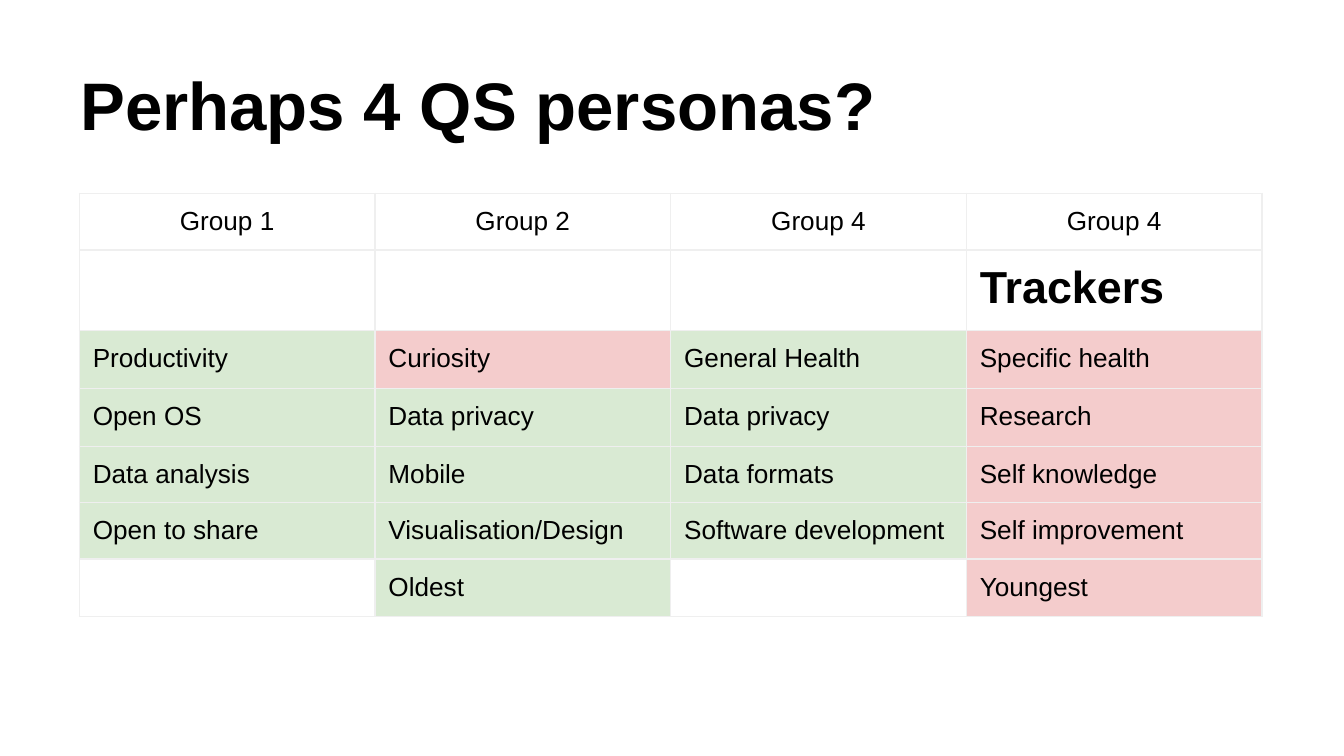
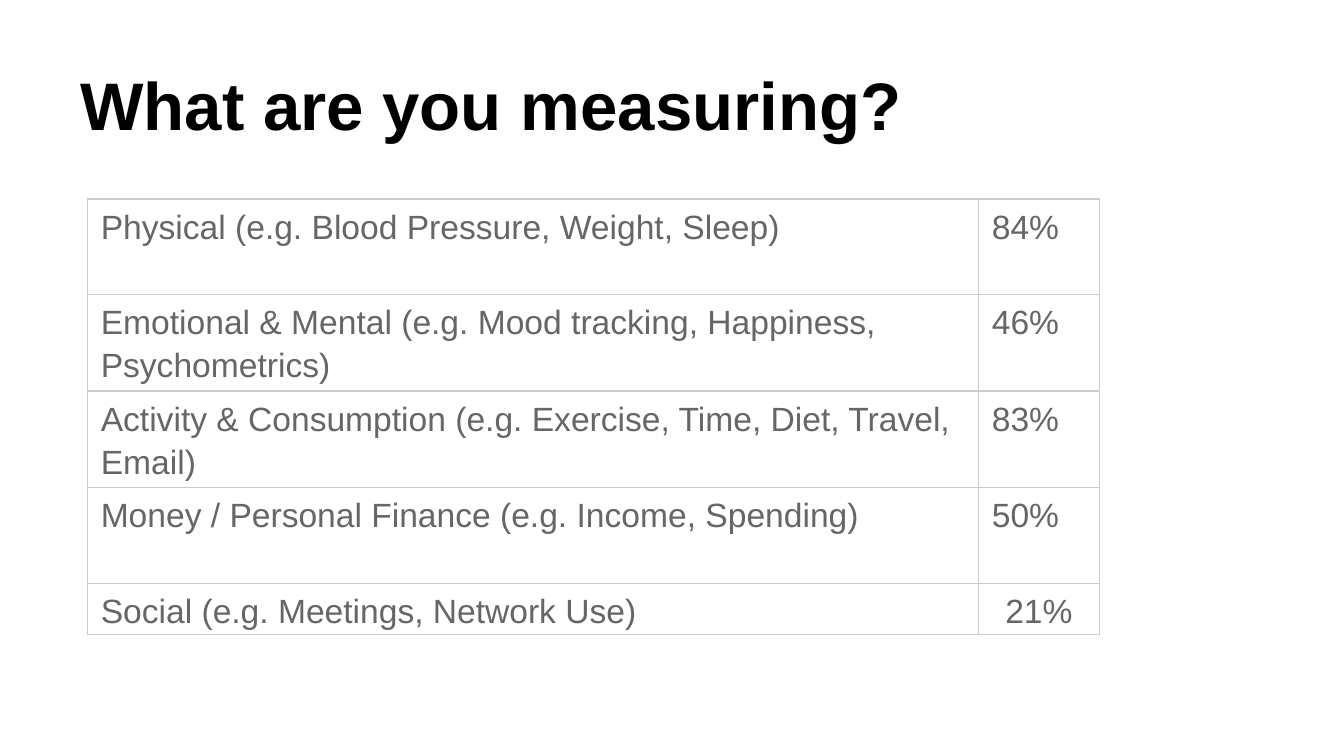
"""Build two slides, each with a bold title over a ruled table."""
from lxml import etree
from pptx import Presentation
from pptx.dml.color import RGBColor
from pptx.enum.text import MSO_ANCHOR, PP_ALIGN
from pptx.oxml.ns import qn
from pptx.util import Inches, Pt

LEFT, CENTER = PP_ALIGN.LEFT, PP_ALIGN.CENTER
BOTTOM = MSO_ANCHOR.BOTTOM
FONT = "Arial"
COLORS = {"black": "000000", "gray": "666666", "green": "D9EAD3", "red": "F4CCCC",
          "pale_rule": "EFEFEF", "rule": "CCCCCC"}
INSET = 0.1
BORDER_WIDTH = 0.75
BLANK_LAYOUT = 6


def write_text(paragraph, text, size, color, bold=False, alignment=LEFT, line_spacing=None):
    paragraph.alignment = alignment
    paragraph.line_spacing = line_spacing
    run = paragraph.add_run()
    run.text = text
    for name, value in {"name": FONT, "size": Pt(size), "bold": bold}.items():
        setattr(run.font, name, value)
    run.font.color.rgb = RGBColor.from_string(COLORS[color])


def add_border(cell, color):
    properties = cell._tc.get_or_add_tcPr()
    for side in ("lnL", "lnR", "lnT", "lnB"):
        line = etree.SubElement(properties, qn(f"a:{side}"), w=str(Pt(BORDER_WIDTH)))
        fill = etree.SubElement(line, qn("a:solidFill"))
        etree.SubElement(fill, qn("a:srgbClr"), val=COLORS[color])


persona_rows = [
    ["Group 1", "Group 2", "Group 4", "Group 4"],
    ["", "", "", "Trackers"],
    ["Productivity", "Curiosity", "General Health", "Specific health"],
    ["Open OS", "Data privacy", "Data privacy", "Research"],
    ["Data analysis", "Mobile", "Data formats", "Self knowledge"],
    ["Open to share", "Visualisation/Design", "Software development", "Self improvement"],
    ["", "Oldest", "", "Youngest"],
]
measure_rows = [
    ["Physical (e.g. Blood Pressure, Weight, Sleep)", "84%"],
    ["Emotional & Mental (e.g. Mood tracking, Happiness, Psychometrics)", "46%"],
    ["Activity & Consumption (e.g. Exercise, Time, Diet, Travel, Email)", "83%"],
    ["Money / Personal Finance (e.g. Income, Spending)", "50%"],
    ["Social (e.g. Meetings, Network Use)", "21%"],
]
pages = [
    {"title": "Perhaps 4 QS personas?", "rows": persona_rows, "left": 0.59, "top": 1.44,
     "widths": [2.2] * 4, "heights": [0.42, 0.6, 0.43, 0.43, 0.42, 0.42, 0.43],
     "border": "pale_rule", "inset_top": INSET, "inset_bottom": 0.08,
     "text": {"size": 14, "color": "black"},
     "centered": [(0, column) for column in range(4)],
     "large": [(1, 3)], "first_filled_row": 2,
     "red": [(2, 1)] + [(row, 3) for row in range(2, 7)]},
    {"title": "What are you measuring?", "rows": measure_rows, "left": 0.65, "top": 1.48,
     "widths": [6.63, 0.9], "heights": [0.71] * 4 + [0.38],
     "border": "rule", "inset_top": 0.03, "inset_bottom": 0,
     "text": {"size": 18, "color": "gray", "line_spacing": 1.15},
     "centered": [(4, 1)], "large": [], "first_filled_row": len(measure_rows), "red": []},
]

presentation = Presentation()
presentation.slide_width = Inches(10)
presentation.slide_height = presentation.slide_width * 9 // 16

for page in pages:
    slide = presentation.slides.add_slide(presentation.slide_layouts[BLANK_LAYOUT])
    title = slide.shapes.add_textbox(Inches(0.5), Inches(0.23), Inches(9), Inches(0.94))
    frame_format = {"word_wrap": True, "vertical_anchor": BOTTOM}
    frame_format.update({f"margin_{side}": Inches(INSET)
                         for side in ("left", "right", "top", "bottom")})
    for name, value in frame_format.items():
        setattr(title.text_frame, name, value)
    write_text(title.text_frame.paragraphs[0], page["title"], 36, "black", bold=True)

    table = slide.shapes.add_table(
        len(page["heights"]), len(page["widths"]), Inches(page["left"]), Inches(page["top"]),
        Inches(sum(page["widths"])), Inches(sum(page["heights"]))).table
    table.first_row = table.horz_banding = False
    for column, width in zip(table.columns, page["widths"]):
        column.width = Inches(width)
    for row, height in zip(table.rows, page["heights"]):
        row.height = Inches(height)

    cell_margins = {"margin_left": INSET, "margin_right": INSET,
                    "margin_top": page["inset_top"], "margin_bottom": page["inset_bottom"]}
    for row_index, texts in enumerate(page["rows"]):
        for column_index, text in enumerate(texts):
            place = (row_index, column_index)
            cell = table.cell(*place)
            add_border(cell, page["border"])
            if text and row_index >= page["first_filled_row"]:
                cell.fill.solid()
                fill_color = COLORS["red" if place in page["red"] else "green"]
                cell.fill.fore_color.rgb = RGBColor.from_string(fill_color)
            else:
                cell.fill.background()
            if not text:
                continue
            for name, value in cell_margins.items():
                setattr(cell, name, Inches(value))
            text_format = dict(page["text"])
            if place in page["large"]:
                text_format.update(size=24, bold=True)
            if place in page["centered"]:
                text_format["alignment"] = CENTER
            write_text(cell.text_frame.paragraphs[0], text, **text_format)

presentation.save("out.pptx")
